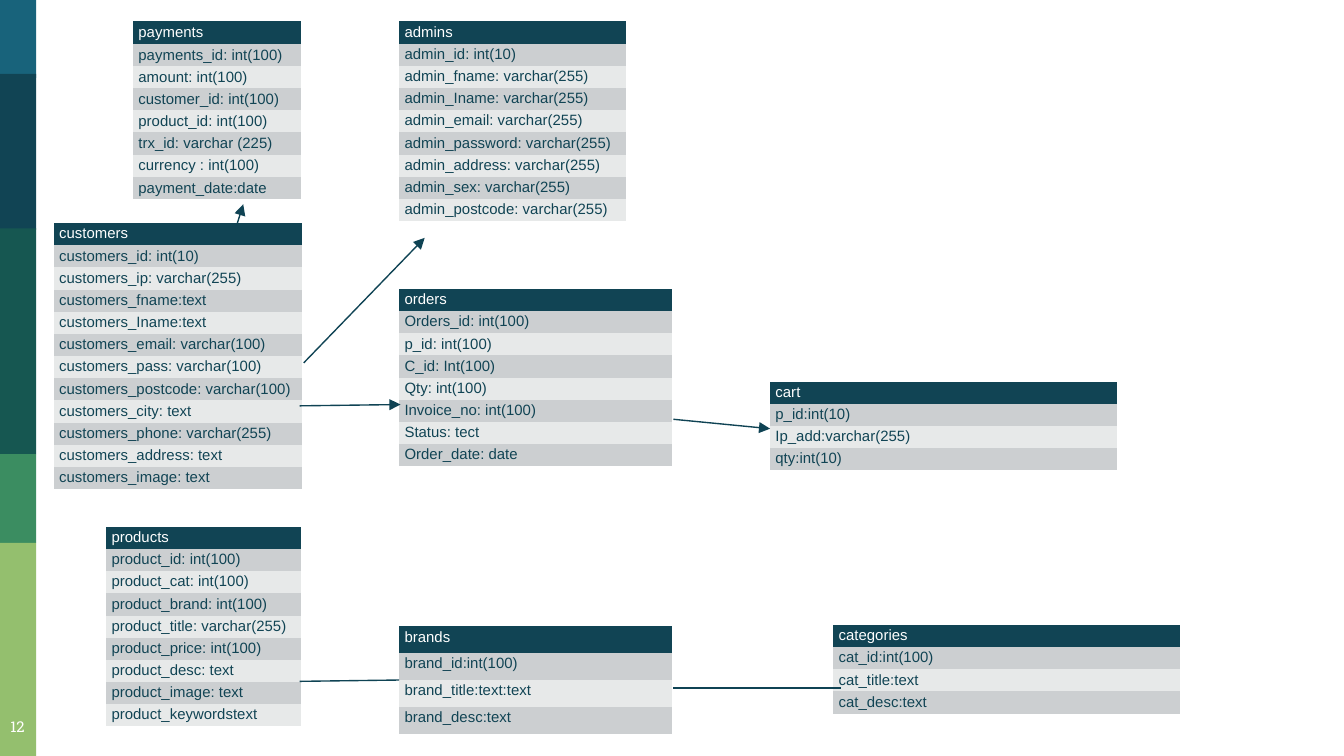
from pptx import Presentation
from pptx.dml.color import RGBColor
from pptx.enum.shapes import MSO_CONNECTOR as Connector, MSO_SHAPE as Shape
from pptx.enum.text import MSO_ANCHOR as Anchor, PP_ALIGN as Align
from pptx.oxml.ns import qn
from pptx.util import Inches, Pt
from lxml.etree import SubElement

COLORS = {
    "blue": "18637B", "navy": "114454", "teal": "165751", "green": "3B8D61",
    "lime": "94BF6E", "dark_row": "CCCFD1", "light_row": "E7E9E9",
    "line": "0F4354", "white": "FFFFFF",
}
NO_STYLE = "{2D5ABB26-0587-4C30-8999-92F81FD0307C}"
ROW, TALL_ROW = 0.16, 0.2
STRIP_WIDTH = 0.27


def color(name):
    return RGBColor.from_string(COLORS[name])


def format_text(paragraph, font_name, color_name):
    for run in paragraph.runs:
        run.font.name = font_name
        run.font.size = Pt(8)
        run.font.color.rgb = color(color_name)


# Widescreen slide, 16 to 9
presentation = Presentation()
presentation.slide_width = Inches(10)
presentation.slide_height = Inches(10) * 9 // 16
slide = presentation.slides.add_slide(presentation.slide_layouts[6])

# Colour strip on the left edge
strip = [("blue", 0, 0.58), ("navy", 0.55, 1.16), ("teal", 1.7, 1.68),
         ("green", 3.38, 0.66), ("lime", 4.04, 1.58)]
for name, top, height in strip:
    band = slide.shapes.add_shape(Shape.RECTANGLE, 0, Inches(top),
                                  Inches(STRIP_WIDTH), Inches(height))
    band.shadow.inherit = False
    band.fill.solid()
    band.fill.fore_color.rgb = color(name)
    band.line.fill.background()
band.height = presentation.slide_height - band.top

# Slide number
number = slide.shapes.add_textbox(Inches(-0.06), Inches(5.27), Inches(0.38), Inches(0.35))
frame = number.text_frame
frame.word_wrap = True
frame.margin_left = frame.margin_right = Inches(0.1)
frame.margin_top = frame.margin_bottom = Inches(0.1)
frame.text = "12"
frame.paragraphs[0].alignment = Align.CENTER
format_text(frame.paragraphs[0], "Roboto Slab", "white")

# Database tables: left, top, width, row height, anchor, header and fields
entities = [
    (0.99, 0.16, 1.25, ROW, Anchor.MIDDLE, [
        "payments", "payments_id: int(100)", "amount: int(100)",
        "customer_id: int(100)", "product_id: int(100)", "trx_id: varchar (225)",
        "currency : int(100)", "payment_date:date"]),
    (0.4, 1.66, 1.85, ROW, Anchor.TOP, [
        "customers", "customers_id: int(10)", "customers_ip: varchar(255)",
        "customers_fname:text", "customers_Iname:text",
        "customers_email: varchar(100)", "customers_pass: varchar(100)",
        "customers_postcode: varchar(100)", "customers_city: text",
        "customers_phone: varchar(255)", "customers_address: text",
        "customers_image: text"]),
    (0.79, 3.92, 1.45, ROW, Anchor.TOP, [
        "products", "product_id: int(100)", "product_cat: int(100)",
        "product_brand: int(100)", "product_title: varchar(255)",
        "product_price: int(100)", "product_desc: text", "product_image: text",
        "product_keywordstext"]),
    (2.97, 0.16, 1.69, ROW, Anchor.TOP, [
        "admins", "admin_id: int(10)", "admin_fname: varchar(255)",
        "admin_Iname: varchar(255)", "admin_email: varchar(255)",
        "admin_password: varchar(255)", "admin_address: varchar(255)",
        "admin_sex: varchar(255)", "admin_postcode: varchar(255)"]),
    (2.97, 2.15, 2.03, ROW, Anchor.TOP, [
        "orders", "Orders_id: int(100)", "p_id: int(100)", "C_id: Int(100)",
        "Qty: int(100)", "Invoice_no: int(100)", "Status: tect",
        "Order_date: date"]),
    (5.73, 2.84, 2.58, ROW, Anchor.TOP, [
        "cart", "p_id:int(10)", "Ip_add:varchar(255)", "qty:int(10)"]),
    (2.97, 4.66, 2.03, TALL_ROW, Anchor.TOP, [
        "brands", "brand_id:int(100)", "brand_title:text:text", "brand_desc:text"]),
    (6.2, 4.65, 2.58, ROW, Anchor.TOP, [
        "categories", "cat_id:int(100)", "cat_title:text", "cat_desc:text"]),
]
for left, top, width, row_height, anchor, fields in entities:
    table_frame = slide.shapes.add_table(
        len(fields), 1, Inches(left), Inches(top), Inches(width),
        Inches(row_height * len(fields)))
    table = table_frame.table
    table_frame._element.find(".//" + qn("a:tableStyleId")).text = NO_STYLE
    for index, field in enumerate(fields):
        table.rows[index].height = Inches(row_height)
        cell = table.cell(index, 0)
        cell.margin_left = cell.margin_right = Inches(0.04)
        cell.margin_top = cell.margin_bottom = Pt(1.15)
        cell.vertical_anchor = anchor
        cell.fill.solid()
        row_color = "dark_row" if index % 2 else "light_row"
        cell.fill.fore_color.rgb = color(row_color if index else "navy")
        cell.text_frame.text = field
        format_text(cell.text_frame.paragraphs[0], "Arial", "navy" if index else "white")

# Relations: start, end, arrowhead
relations = [
    ((1.76, 1.68), (1.81, 1.52), True),
    ((2.26, 2.7), (3.16, 1.77), True),
    ((2.23, 3.02), (2.98, 3.01), True),
    ((5.01, 3.12), (5.73, 3.19), True),
    ((2.23, 5.07), (2.97, 5.06), False),
    ((5.01, 5.12), (6.26, 5.12), False),
]
for start, end, has_arrow in relations:
    points = [Inches(value) for value in start + end]
    connector = slide.shapes.add_connector(Connector.STRAIGHT, *points)
    connector.line.color.rgb = color("line")
    connector.line.width = Pt(0.75)
    properties = connector._element.spPr
    if has_arrow:
        SubElement(properties.find(qn("a:ln")), qn("a:tailEnd"), type="triangle")
    SubElement(properties, qn("a:effectLst"))

presentation.save("out.pptx")
